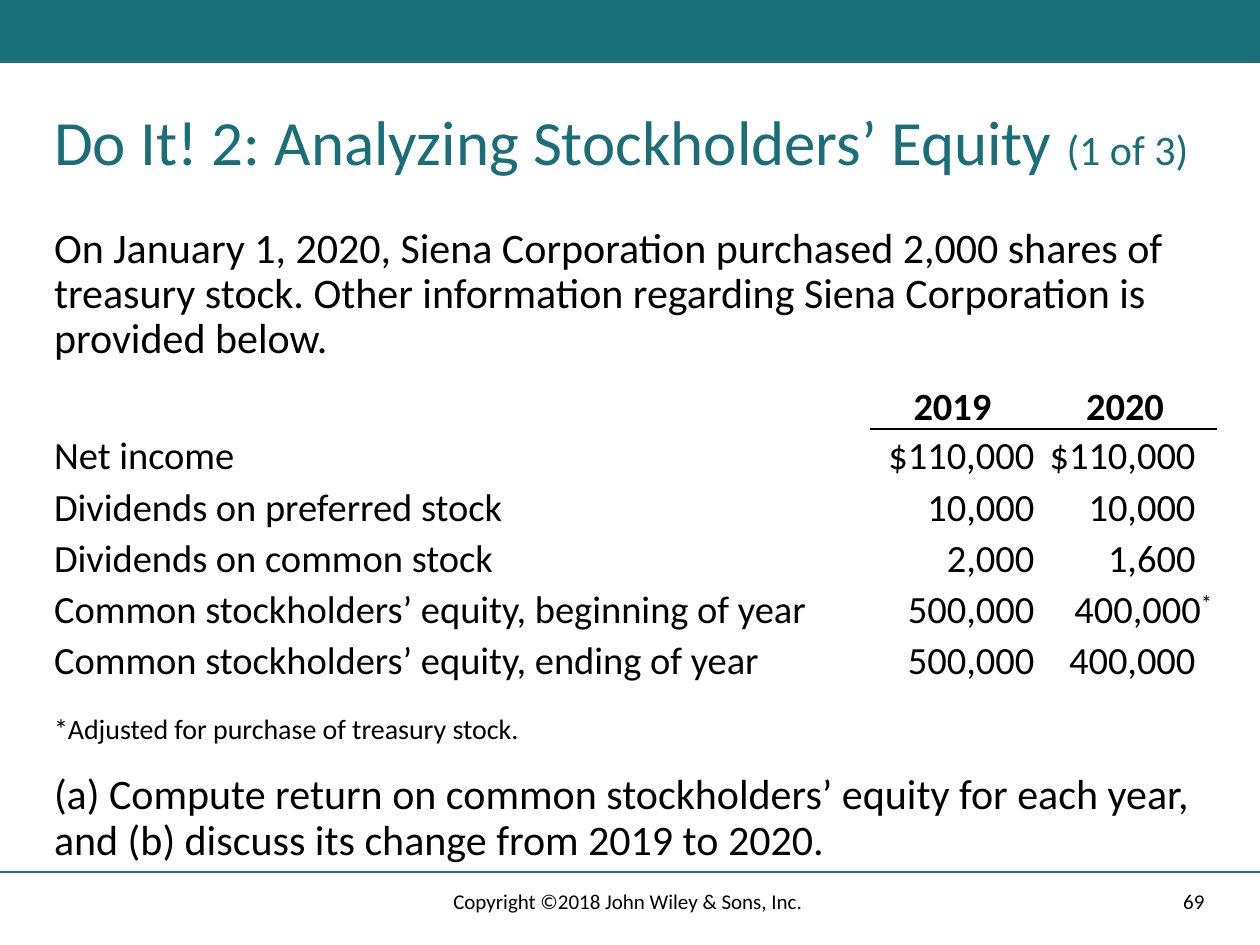
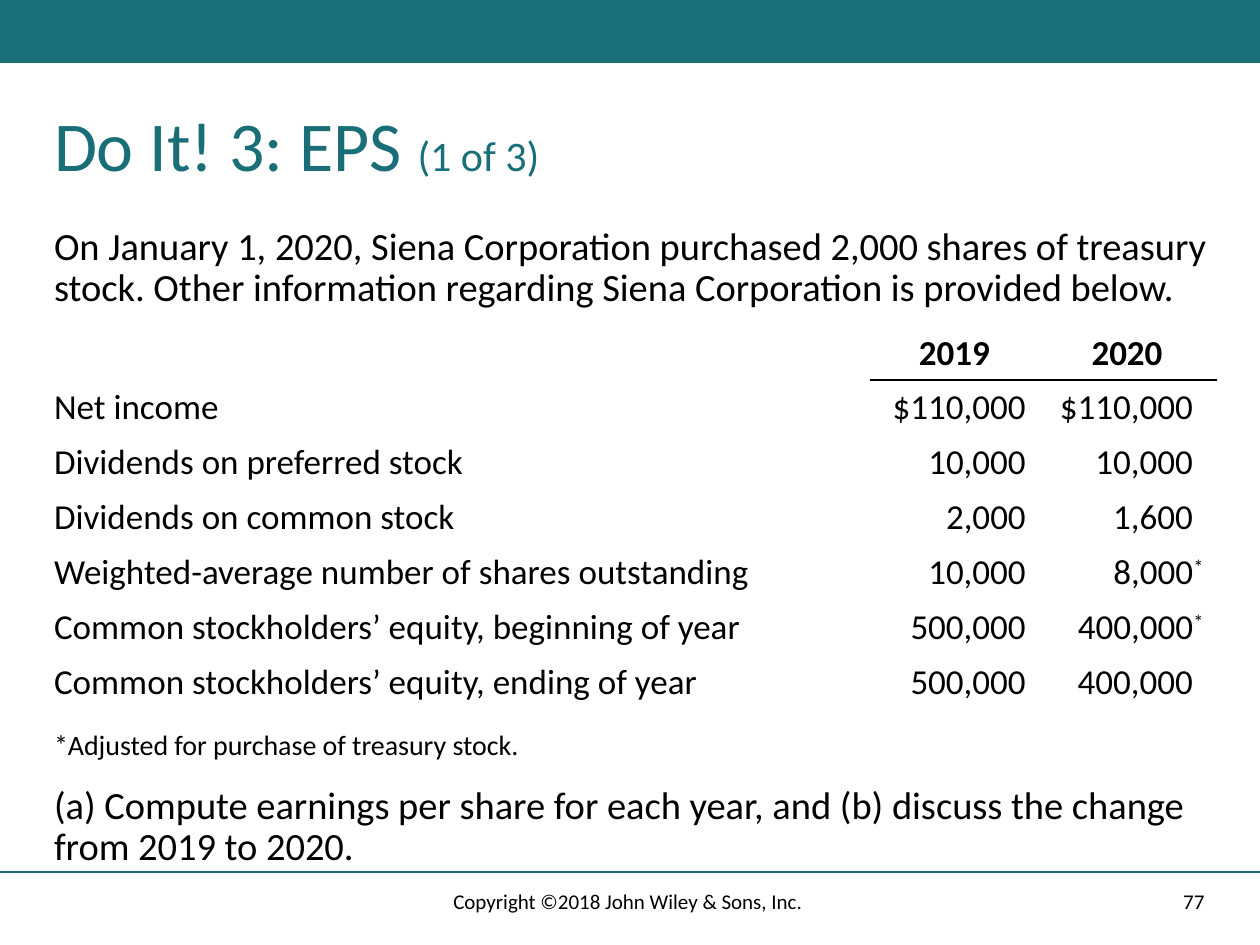
from dataclasses import dataclass

from lxml import etree
from pptx import Presentation
from pptx.dml.color import RGBColor
from pptx.enum.shapes import MSO_CONNECTOR, MSO_SHAPE
from pptx.enum.text import MSO_ANCHOR, PP_ALIGN
from pptx.oxml.ns import qn
from pptx.util import Cm, Pt

LEFT, CENTER, RIGHT = PP_ALIGN.LEFT, PP_ALIGN.CENTER, PP_ALIGN.RIGHT
TOP, MIDDLE, BOTTOM = MSO_ANCHOR.TOP, MSO_ANCHOR.MIDDLE, MSO_ANCHOR.BOTTOM

TEAL, BLACK, WHITE = "196E78", "000000", "FFFFFF"
FONT = "Calibri"
SLIDE_WIDTH, SLIDE_HEIGHT = 25.4, 19.05
MARGIN = 0.84
FOOTER_TOP, FOOTER_HEIGHT = 17.65, 1.02
COLUMN_WIDTHS = (16.71, 3.38, 3.58)
COPYRIGHT = "Copyright ©2018 John Wiley & Sons, Inc. "
INTRO = ("On January 1, 2020, Siena Corporation purchased 2,000 shares of treasury stock. "
         "Other information regarding Siena Corporation is provided below.")
FOOTNOTE = "*Adjusted for purchase of treasury stock."

HEADINGS = ("", "2019", "2020")
INCOME_ROWS = (
    ("Net income", "$110,000", "$110,000"),
    ("Dividends on preferred stock", "10,000", "10,000"),
    ("Dividends on common stock", "2,000", "1,600"),
)
SHARES_ROW = ("Weighted-average number of shares outstanding", "10,000", "8,000*")
EQUITY_ROWS = (
    ("Common stockholders’ equity, beginning of year", "500,000", "400,000*"),
    ("Common stockholders’ equity, ending of year", "500,000", "400,000"),
)


@dataclass(frozen=True)
class Box:
    top: float
    width: float
    height: float
    left: float = MARGIN


@dataclass(frozen=True)
class FinancialTable:
    top: float
    row_height: float
    size: float
    rows: tuple[tuple[str, str, str], ...]
    number_left: float    # cell insets
    number_right: float
    unstarred_right: float
    vertical: float


@dataclass(frozen=True)
class Exercise:
    title: str
    title_size: float
    title_box: Box
    body_size: float
    intro_box: Box
    table: FinancialTable
    footnote_box: Box
    task: str
    task_box: Box
    number: str


EXERCISES = (
    Exercise(
        title="Do It! 2: Analyzing Stockholders’ Equity ", title_size=36,
        title_box=Box(2.11, 24.13, 1.93),
        body_size=24, intro_box=Box(4.45, 23.7, 2.74),
        table=FinancialTable(7.62, 1.03, 22, INCOME_ROWS + EQUITY_ROWS,
                             0, 0.08, 0.41, 0),
        footnote_box=Box(14.3, 10.59, 0.81),
        task="(a) Compute return on common stockholders’ equity for each year, "
             "and (b) discuss its change from 2019 to 2020.",
        task_box=Box(15.47, 23.7, 1.93), number="69"),
    Exercise(
        title="Do It! 3: EPS ", title_size=40,
        title_box=Box(2.11, 23.7, 1.93),
        body_size=22, intro_box=Box(4.45, 23.93, 1.93),
        table=FinancialTable(6.55, 1.1, 20, INCOME_ROWS + (SHARES_ROW,) + EQUITY_ROWS,
                             0.25, 0.25, 0.46, 0.13),
        footnote_box=Box(14.61, 10.59, 0.86),
        task="(a) Compute earnings per share for each year, "
             "and (b) discuss the change from 2019 to 2020.",
        task_box=Box(15.72, 23.5, 1.65), number="77"),
)


def rgb(color: str) -> RGBColor:
    return RGBColor.from_string(color)


def write_text(frame, text: str, *, size: float, color: str = BLACK, bold: bool = False,
               align=LEFT, spacing: float = 1.0, tail: str = "",
               tail_size: float = 0, tail_raised: bool = False) -> None:
    """Fill a text frame with one paragraph and an optional differing tail."""
    paragraph = frame.paragraphs[0]
    paragraph.alignment = align
    paragraph.line_spacing = spacing
    paragraph.font.size = Pt(size)
    for part, part_size in ((text, size), (tail, tail_size or size)):
        if not part:
            continue
        run = paragraph.add_run()
        run.text = part
        run.font.name = FONT
        run.font.size = Pt(part_size)
        run.font.bold = bold
        run.font.color.rgb = rgb(color)
    if tail and tail_raised:
        run._r.get_or_add_rPr().set("baseline", "30000")


def add_text(slide, box: Box, text: str, *, anchor=TOP, **text_format) -> None:
    frame = slide.shapes.add_textbox(
        Cm(box.left), Cm(box.top), Cm(box.width), Cm(box.height)).text_frame
    frame.word_wrap = True
    frame.vertical_anchor = anchor
    write_text(frame, text, **text_format)


def add_frame(slide, number: str) -> None:
    """Draw the top band, the footer rule and the footer."""
    band = slide.shapes.add_shape(MSO_SHAPE.RECTANGLE, 0, 0, Cm(SLIDE_WIDTH), Cm(1.27))
    band.shadow.inherit = False
    band.fill.solid()
    band.fill.fore_color.rgb = rgb(TEAL)
    band.line.fill.background()

    rule = slide.shapes.add_connector(
        MSO_CONNECTOR.STRAIGHT, 0, Cm(17.58), Cm(SLIDE_WIDTH), Cm(17.58))
    rule.line.color.rgb = rgb(TEAL)
    rule.line.width = Pt(1)
    etree.SubElement(rule._element.spPr, qn("a:effectLst"))

    for box, text, align in (
        (Box(FOOTER_TOP, 6.6, FOOTER_HEIGHT, left=17.93), number, RIGHT),
        (Box(FOOTER_TOP, 8.59, FOOTER_HEIGHT, left=8.41), COPYRIGHT, CENTER),
    ):
        add_text(slide, box, text, size=12, align=align, anchor=MIDDLE)


def set_border(cell, side: str, color: str) -> None:
    line = etree.SubElement(cell._tc.get_or_add_tcPr(), qn(f"a:ln{side}"), w=str(Pt(1)))
    fill = etree.SubElement(line, qn("a:solidFill"))
    etree.SubElement(fill, qn("a:srgbClr"), val=color)


def add_financial_table(slide, spec_table: FinancialTable) -> None:
    rows = (HEADINGS,) + spec_table.rows
    table = slide.shapes.add_table(
        len(rows), len(COLUMN_WIDTHS), Cm(MARGIN), Cm(spec_table.top),
        Cm(sum(COLUMN_WIDTHS)), Cm(spec_table.row_height * len(rows))).table
    table.first_row = table.horz_banding = False
    for column, width in zip(table.columns, COLUMN_WIDTHS):
        column.width = Cm(width)

    for r, row in enumerate(rows):
        table.rows[r].height = Cm(spec_table.row_height)
        for c, value in enumerate(row):
            cell = table.cell(r, c)
            is_heading, is_label = r == 0, c == 0
            starred = value.endswith("*")

            # Black rule under the year headings, white elsewhere
            ruled_side = {0: "B", 1: "T"}.get(r) if not is_label else None
            for side in "LRTB":
                set_border(cell, side, BLACK if side == ruled_side else WHITE)
            cell.fill.solid()
            cell.fill.fore_color.rgb = rgb(WHITE)

            # Unstarred figures leave room for the star in the last column
            right = spec_table.number_right
            if is_label:
                right = 0.25
            elif c == 2 and not is_heading and not starred:
                right = spec_table.unstarred_right
            cell.margin_left = Cm(0.25 if is_label else spec_table.number_left)
            cell.margin_right = Cm(right)
            cell.margin_top = cell.margin_bottom = Cm(spec_table.vertical)
            cell.vertical_anchor = BOTTOM
            write_text(cell.text_frame, value.rstrip("*"), size=spec_table.size,
                       bold=is_heading,
                       align=LEFT if is_label else CENTER if is_heading else RIGHT,
                       spacing=0.9 if is_heading else 1.0,
                       tail="*" if starred else "", tail_raised=True)


def add_exercise(slide, exercise: Exercise) -> None:
    add_frame(slide, exercise.number)
    add_text(slide, exercise.title_box, exercise.title, size=exercise.title_size,
             color=TEAL, spacing=0.9, tail="(1 of 3)", tail_size=24)
    add_financial_table(slide, exercise.table)
    for box, text, size in (
        (exercise.intro_box, INTRO, exercise.body_size),
        (exercise.footnote_box, FOOTNOTE, 16),
        (exercise.task_box, exercise.task, exercise.body_size),
    ):
        add_text(slide, box, text, size=size, spacing=0.9)


def main() -> None:
    deck = Presentation()
    deck.slide_width, deck.slide_height = Cm(SLIDE_WIDTH), Cm(SLIDE_HEIGHT)
    blank_layout = deck.slide_layouts[6]
    for exercise in EXERCISES:
        add_exercise(deck.slides.add_slide(blank_layout), exercise)
    deck.save("out.pptx")


if __name__ == "__main__":
    main()
